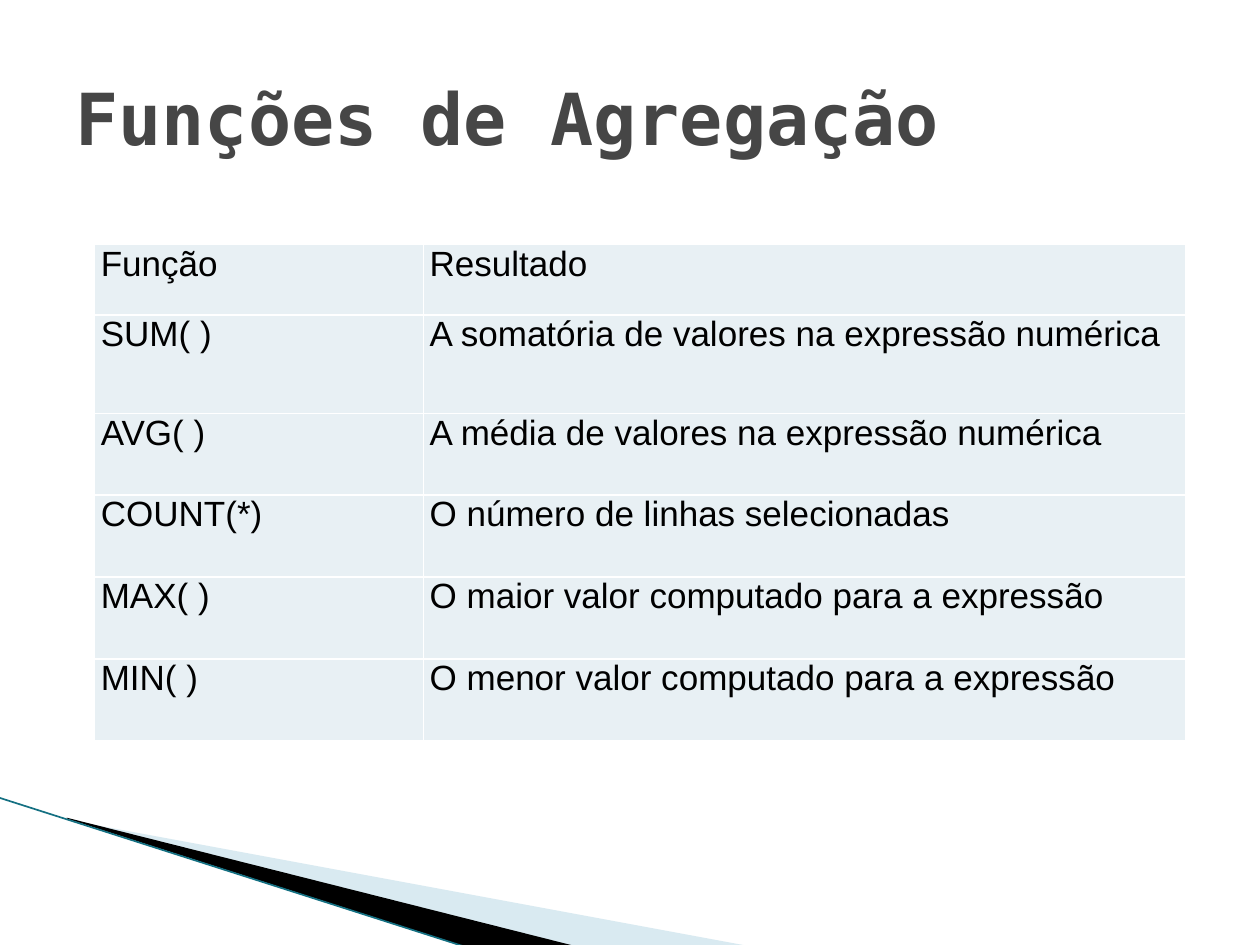
from lxml import etree
from pptx import Presentation
from pptx import util as u
from pptx.dml.color import RGBColor
from pptx.enum import shapes, text
from pptx.oxml.ns import qn

WIDTH, HEIGHT = u.Inches(10), u.Inches(7.5)

WHITE = RGBColor(0xFF, 0xFF, 0xFF)
BLACK = RGBColor(0x00, 0x00, 0x00)
TITLE_GRAY = RGBColor(0x46, 0x46, 0x46)
CELL_BLUE = RGBColor(0xE8, 0xF0, 0xF4)
WEDGE_BLUE = RGBColor(0xA0, 0xCB, 0xDC)
EDGE_TEAL = RGBColor(0x14, 0x70, 0x82)

FUNCTIONS = [
    ("Função", "Resultado"),
    ("SUM( )", "A somatória de valores na expressão numérica"),
    ("AVG( )", "A média de valores na expressão numérica"),
    ("COUNT(*)", "O número de linhas selecionadas"),
    ("MAX( )", "O maior valor computado para a expressão"),
    ("MIN( )", "O menor valor computado para a expressão"),
]
# Shares of the slide's size, in percent
COLUMN_SHARES = [26.1, 60.5]
ROW_SHARES = [7.47, 10.4] + [8.67] * 4


def across(percent):
    return u.Emu(round(WIDTH * percent / 100))


def down(percent):
    return u.Emu(round(HEIGHT * percent / 100))


def add_wedge(slide, points, color, opacity=100):
    start, *others = [(across(x), down(y)) for x, y in points]
    builder = slide.shapes.build_freeform(*start)
    builder.add_line_segments(others, close=True)
    wedge = builder.convert_to_shape()
    wedge.shadow.inherit = False
    wedge.line.fill.background()
    wedge.fill.solid()
    wedge.fill.fore_color.rgb = color
    if opacity < 100:
        fill_color = wedge.fill._xPr.find(qn("a:solidFill"))[0]
        etree.SubElement(fill_color, qn("a:alpha"), val=str(opacity * 1000))


def add_edge(slide, start, end):
    edge = slide.shapes.add_connector(
        shapes.MSO_CONNECTOR.STRAIGHT,
        across(start[0]), down(start[1]), across(end[0]), down(end[1]))
    edge.line.color.rgb = EDGE_TEAL
    edge.line.width = u.Pt(0.95)
    etree.SubElement(edge._element.spPr, qn("a:effectLst"))


def add_borders(cell):
    properties = cell._tc.get_or_add_tcPr()
    for side in ("lnL", "lnR", "lnT", "lnB"):
        border = etree.SubElement(properties, qn(f"a:{side}"), w=str(u.Pt(1)))
        fill = etree.SubElement(border, qn("a:solidFill"))
        etree.SubElement(fill, qn("a:srgbClr"), val=str(WHITE))


def fill_cell(cell, wording):
    cell.margin_left = cell.margin_right = u.Inches(0.05)
    cell.margin_top = cell.margin_bottom = 0
    add_borders(cell)
    cell.fill.solid()
    cell.fill.fore_color.rgb = CELL_BLUE
    cell.text = wording
    style_font(cell.text_frame.paragraphs[0].font, "Arial", 20, BLACK, False)


def style_font(font, name, size, color, bold):
    font.name = name
    font.size = u.Pt(size)
    font.color.rgb = color
    font.bold = bold


def add_function_table(slide):
    table = slide.shapes.add_table(
        len(FUNCTIONS), len(COLUMN_SHARES), across(7.5), down(25.87),
        across(sum(COLUMN_SHARES)), down(sum(ROW_SHARES))).table
    table.first_row = table.horz_banding = False
    for column, share in zip(table.columns, COLUMN_SHARES):
        column.width = across(share)
    for row, share, wordings in zip(table.rows, ROW_SHARES, FUNCTIONS):
        row.height = down(share)
        for cell, wording in zip(row.cells, wordings):
            fill_cell(cell, wording)


def add_title(slide, wording):
    frame = slide.shapes.add_textbox(
        across(5), down(4), across(90), down(16.67)).text_frame
    frame.word_wrap = True
    frame.vertical_anchor = text.MSO_ANCHOR.MIDDLE
    frame.text = wording
    style_font(frame.paragraphs[0].font, "DejaVu Sans Mono", 41, TITLE_GRAY, True)


def main():
    deck = Presentation()
    deck.slide_width, deck.slide_height = WIDTH, HEIGHT
    slide = deck.slides.add_slide(deck.slide_layouts[6])
    slide.background.fill.solid()
    slide.background.fill.fore_color.rgb = WHITE

    add_wedge(slide, [(5.5, 86.8), (59.5, 100.13), (45.6, 100.13), (5.5, 86.67)],
              WEDGE_BLUE, opacity=40)
    add_wedge(slide, [(5.3, 86.53), (45.7, 100.13), (37.2, 100.27), (5.4, 86.67)],
              BLACK)
    add_edge(slide, (-0.1, 84.4), (37.1, 100.27))
    add_function_table(slide)
    add_title(slide, "Funções de Agregação")
    deck.save("out.pptx")


if __name__ == "__main__":
    main()
